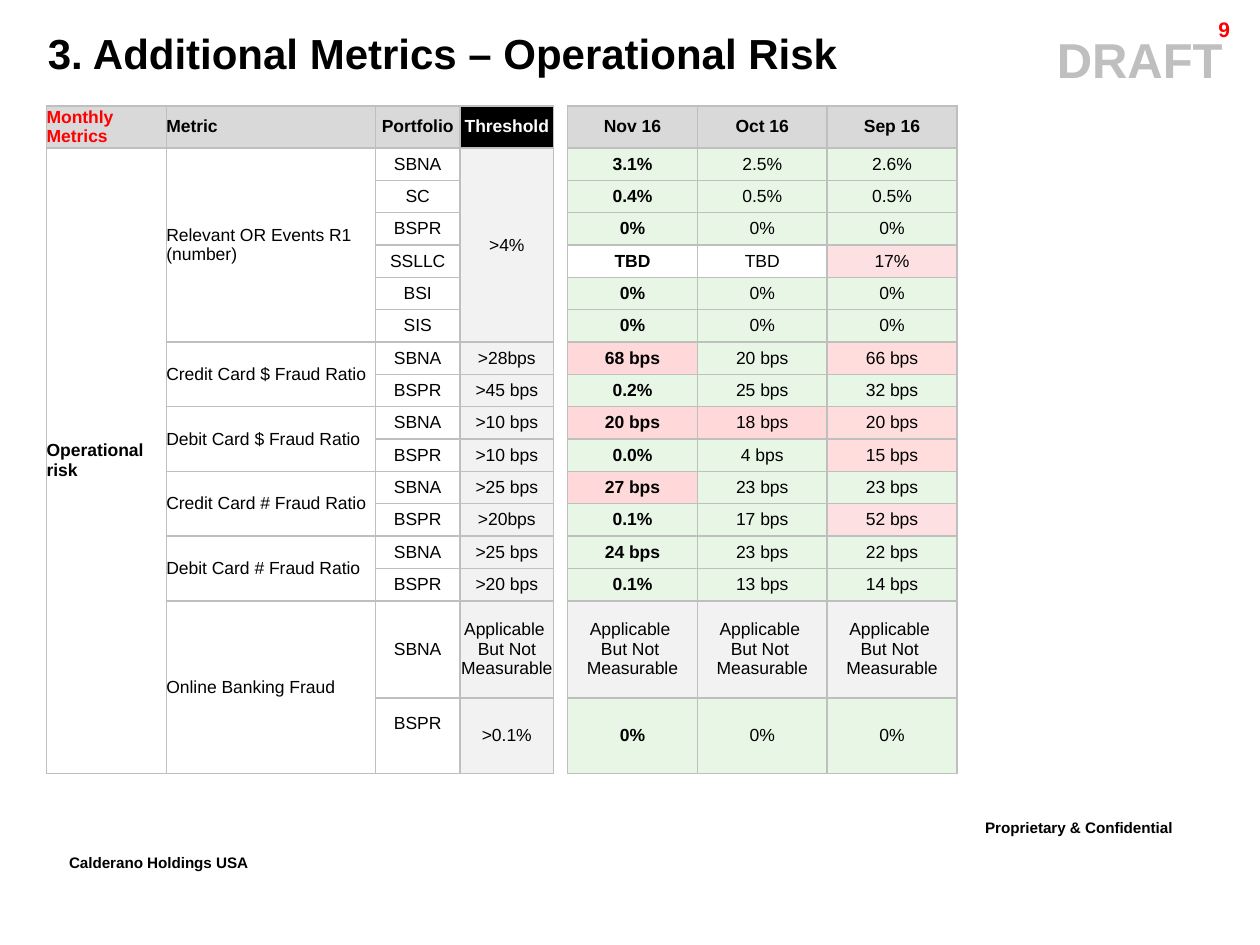
from lxml import etree
from pptx import Presentation
from pptx import util as u
from pptx.dml.color import RGBColor
from pptx.enum import text
from pptx.oxml import ns

COLUMNS, ROWS = 100, 75
UNIT = u.Inches(0.1)
BLACK, RED, GREY, HEADER, PALE = "000000", "FF0000", "BFBFBF", "D9D9D9", "F2F2F2"
TONES = {"G": "E8F6E6", "R": "FFD9D9", "P": "FFDDDD", "Q": "FCE0E2", "N": PALE, "-": None}
LEFT, CENTER, RIGHT = text.PP_ALIGN.LEFT, text.PP_ALIGN.CENTER, text.PP_ALIGN.RIGHT

HEADINGS = ["Monthly Metrics", "Metric", "Portfolio", "Threshold", "", "Nov 16", "Oct 16", "Sep 16"]
WIDTHS = [9.5, 16.6, 6.7, 7.45, 1.1, 10.3, 10.3, 10.3]
HEIGHTS = [3.33] + [2.57] * 14 + [7.7, 6]
GAP = HEADINGS.index("")
NOT_MEASURED = "Applicable \nBut Not \nMeasurable"
METRICS = [
    ("Relevant OR Events R1 (number)", [
        ("SBNA", ">4%", ["3.1%", "2.5%", "2.6%"], "GGG"),
        ("SC", None, ["0.4%", "0.5%", "0.5%"], "GGG"),
        ("BSPR", None, ["0%"] * 3, "GGG"),
        ("SSLLC", None, ["TBD", "TBD", "17%"], "--Q"),
        ("BSI", None, ["0%"] * 3, "GGG"),
        ("SIS", None, ["0%"] * 3, "GGG")]),
    ("Credit Card $ Fraud Ratio", [
        ("SBNA", ">28bps", ["68 bps", "20 bps", "66 bps"], "RGP"),
        ("BSPR", ">45 bps", ["0.2%", "25 bps", "32 bps"], "GGG")]),
    ("Debit Card $ Fraud Ratio", [
        ("SBNA", ">10 bps", ["20 bps", "18 bps", "20 bps"], "RRP"),
        ("BSPR", ">10 bps", ["0.0%", "4 bps", "15 bps"], "GGP")]),
    ("Credit Card # Fraud Ratio", [
        ("SBNA", ">25 bps", ["27 bps", "23 bps", "23 bps"], "RGG"),
        ("BSPR", ">20bps", ["0.1%", "17 bps", "52 bps"], "GGQ")]),
    ("Debit Card # Fraud Ratio", [
        ("SBNA", ">25 bps", ["24 bps", "23 bps", "22 bps"], "GGG"),
        ("BSPR", ">20 bps", ["0.1%", "13 bps", "14 bps"], "GGG")]),
    ("Online Banking Fraud", [
        ("SBNA", "Applicable \nBut Not Measurable", [NOT_MEASURED] * 3, "NNN"),
        ("BSPR", ">0.1%", ["0%"] * 3, "GGG")]),
]


def color(value):
    """Return the colour for a hex string."""
    return RGBColor.from_string(value)


def grid(*lengths):
    """Turn grid columns or rows into slide lengths."""
    return [round(length * UNIT) for length in lengths]


def write(frame, words, size, shade=BLACK, bold=True, align=LEFT):
    """Fill a text frame and format its runs."""
    frame.text = words
    for para in frame.paragraphs:
        para.alignment = align
        for span in para.runs:
            font = span.font
            font.name, font.size, font.bold = "Arial", u.Pt(size), bold
            font.color.rgb = color(shade)


def add_title(page, box, words):
    """Place the title placeholder in the box."""
    title = page.shapes.title
    title.left, title.top, title.width, title.height = grid(*box)
    title.text_frame.auto_size = text.MSO_AUTO_SIZE.NONE
    title.text_frame.vertical_anchor = text.MSO_ANCHOR.MIDDLE
    write(title.text_frame, words, 24)


def add_label(page, box, words, size, shade=BLACK, align=LEFT, raised=False):
    """Place a bold label, optionally raised as superscript."""
    label = page.shapes.add_textbox(*grid(*box))
    frame = label.text_frame
    frame.word_wrap = True
    frame.vertical_anchor = text.MSO_ANCHOR.MIDDLE
    write(frame, words, size, shade, align=align)
    if raised:
        frame.paragraphs[0].runs[0].font._element.set("baseline", "30000")


def add_borders(cell, sides):
    """Draw grey lines on the named sides and none on the others."""
    properties = cell._tc.get_or_add_tcPr()
    for side in "LRTB":
        line = etree.SubElement(properties, ns.qn(f"a:ln{side}"), w=str(u.Pt(1)))
        if side in sides:
            fill = etree.SubElement(line, ns.qn("a:solidFill"))
            etree.SubElement(fill, ns.qn("a:srgbClr"), val=GREY)
        else:
            etree.SubElement(line, ns.qn("a:noFill"))


def prepare_cell(cell, sides):
    """Give a cell its borders, no insets and a small empty line."""
    add_borders(cell, sides)
    cell.fill.background()
    cell.margin_left = cell.margin_right = cell.margin_top = cell.margin_bottom = 0
    cell.vertical_anchor = text.MSO_ANCHOR.MIDDLE
    paragraph = cell.text_frame.paragraphs[0]._p
    etree.SubElement(paragraph, ns.qn("a:endParaRPr"), sz="1000")


def fill_cell(cell, words, fill=None, shade=BLACK, bold=False, align=CENTER):
    """Write a cell and colour its ground."""
    write(cell.text_frame, words, 10, shade, bold, align)
    if fill:
        cell.fill.solid()
        cell.fill.fore_color.rgb = color(fill)


def fill_headings(table):
    """Write the heading row."""
    for column, words in enumerate(HEADINGS):
        if column != GAP:
            dark = words == "Threshold"
            shade = RED if column == 0 else "FFFFFF" if dark else BLACK
            fill_cell(table.cell(0, column), words, BLACK if dark else HEADER, shade,
                      True, LEFT if column < 2 else CENTER)


def fill_metric(table, first, name, entries):
    """Write one metric with a row for each portfolio."""
    last = first + len(entries) - 1
    table.cell(first, 1).merge(table.cell(last, 1))
    fill_cell(table.cell(first, 1), name, align=LEFT)
    if entries[-1][1] is None:
        table.cell(first, 3).merge(table.cell(last, 3))
    for row, (portfolio, threshold, values, tones) in enumerate(entries, first):
        fill_cell(table.cell(row, 2), portfolio)
        if threshold:
            fill_cell(table.cell(row, 3), threshold, PALE)
        for column, (value, tone) in enumerate(zip(values, tones), GAP + 1):
            latest = column == GAP + 1 and value != NOT_MEASURED
            fill_cell(table.cell(row, column), value, TONES[tone], bold=latest)


def add_metrics(page, left, top):
    """Build the metrics table from its top left corner."""
    box = grid(left, top, sum(WIDTHS), sum(HEIGHTS))
    table = page.shapes.add_table(len(HEIGHTS), len(WIDTHS), *box).table
    table.first_row = table.horz_banding = False
    for column, width in zip(table.columns, grid(*WIDTHS)):
        column.width = width
    for row, height in zip(table.rows, grid(*HEIGHTS)):
        row.height = height
        for column, cell in enumerate(row.cells):
            prepare_cell(cell, "LR" if column == GAP else "LRTB")
    fill_headings(table)
    last = len(HEIGHTS) - 1
    table.cell(1, 0).merge(table.cell(last, 0))
    fill_cell(table.cell(1, 0), "Operational risk", bold=True, align=LEFT)
    first = 1
    for name, entries in METRICS:
        fill_metric(table, first, name, entries)
        first += len(entries)
    table.cell(last, 2).margin_bottom = grid(1.9)[0]


def main():
    """Build and save the deck."""
    deck = Presentation()
    deck.slide_width, deck.slide_height = grid(COLUMNS, ROWS)
    page = deck.slides.add_slide(deck.slide_layouts[5])
    add_label(page, (77.2, 64.2, 21.8, 3.5), "Proprietary & Confidential", 15, raised=True)
    add_label(page, (4.5, 67, 22, 3.5), "Calderano Holdings USA", 15, raised=True)
    add_label(page, (81.5, 1.8, 17.9, 5.7), "DRAFT", 28, GREY, CENTER)
    add_label(page, (89.1, 1.1, 9.5, 2.4), "9", 12, RED, RIGHT)
    add_title(page, (2.8, 1.7, 75, 5), "3. Additional Metrics – Operational Risk")
    add_metrics(page, 3.7, 8.4)
    deck.save("out.pptx")


if __name__ == "__main__":
    main()
